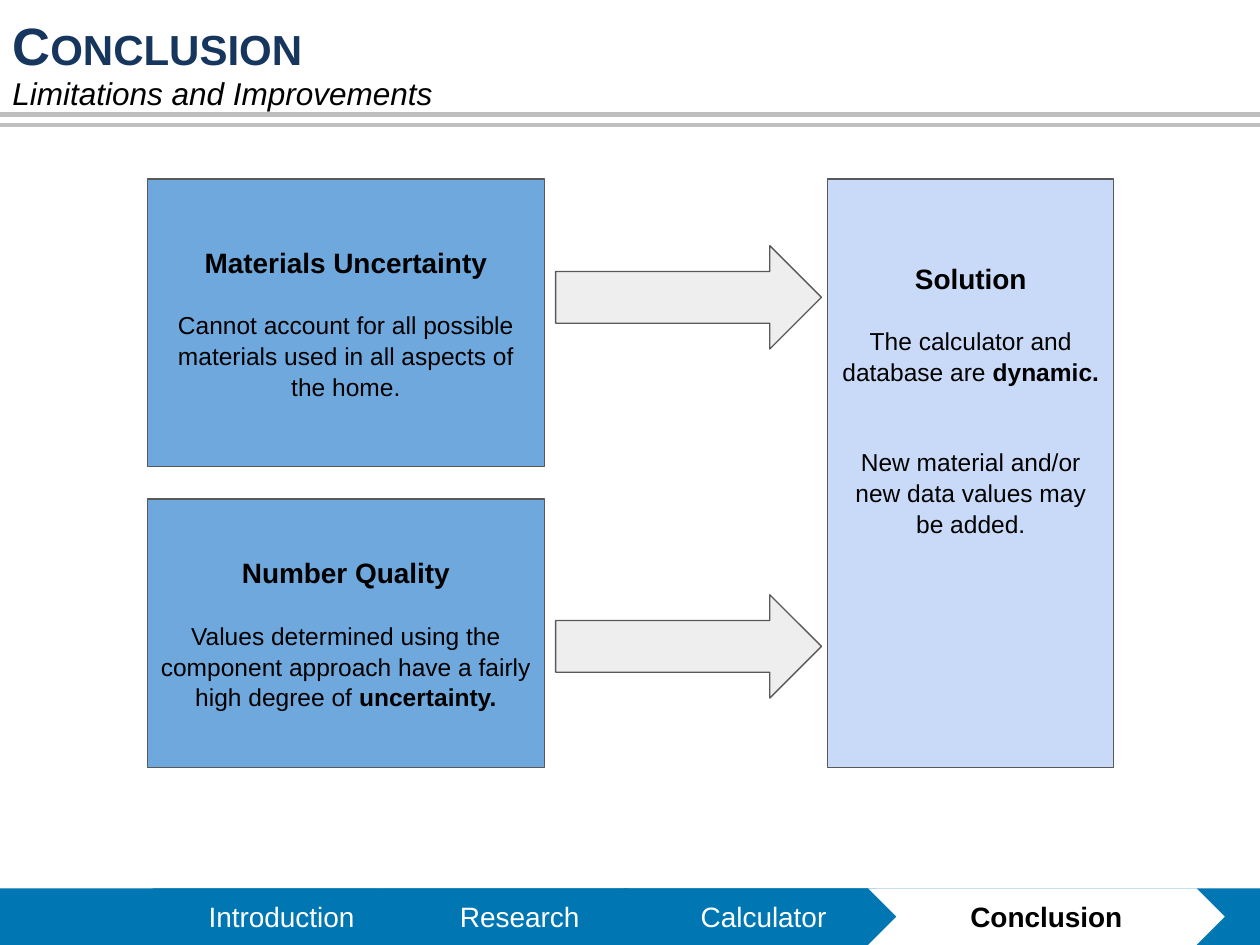
from dataclasses import dataclass

from lxml import etree
from pptx import Presentation
from pptx.dml.color import RGBColor
from pptx.enum import shapes, text
from pptx.oxml import ns
from pptx.util import Inches, Pt


@dataclass(frozen=True)
class Theme:
    font: str = "Arial"
    navy: str = "17365D"
    black: str = "000000"
    white: str = "FFFFFF"
    nav: str = "0077B3"
    rule: str = "BFBFBF"
    outline: str = "595959"
    problem: str = "6FA8DC"
    solution: str = "C9DAF8"
    arrow: str = "EEEEEE"
    title_size: int = 30
    subtitle_size: int = 18
    heading_size: int = 16
    body_size: int = 14
    blank_line: int = 17


THEME = Theme()
SHAPE = shapes.MSO_SHAPE
CENTER = text.PP_ALIGN.CENTER
LEFT = text.PP_ALIGN.LEFT


def rgb(value):
    return RGBColor.from_string(value)


def add_run(paragraph, words, size=THEME.body_size, color=THEME.black,
            bold=False, italic=False, small_caps=False):
    run = paragraph.add_run()
    run.text = words
    font = run.font
    font.name, font.size = THEME.font, Pt(size)
    font.bold, font.italic = bold, italic
    font.color.rgb = rgb(color)
    if small_caps:
        run._r.get_or_add_rPr().set("cap", "small")


def set_frame(shape, anchor=text.MSO_ANCHOR.MIDDLE, inset_top=0.1,
              inset_bottom=0.1):
    frame = shape.text_frame
    frame.word_wrap = True
    frame.vertical_anchor = anchor
    frame.margin_left = frame.margin_right = Inches(0.1)
    frame.margin_top = Inches(inset_top)
    frame.margin_bottom = Inches(inset_bottom)
    return frame


def add_box(slide, kind, left, top, width, height, fill, outline=None):
    shape = slide.shapes.add_shape(
        kind, Inches(left), Inches(top), Inches(width), Inches(height))
    shape.shadow.inherit = False
    shape.fill.solid()
    shape.fill.fore_color.rgb = rgb(fill)
    if outline:
        shape.line.color.rgb = rgb(outline)
        shape.line.width = Pt(0.75)
    else:
        shape.line.fill.background()
    return shape


def add_label(slide, left, top, width, height, words, **style):
    label = slide.shapes.add_textbox(
        Inches(left), Inches(top), Inches(width), Inches(height))
    paragraph = set_frame(label, text.MSO_ANCHOR.TOP).paragraphs[0]
    paragraph.alignment = LEFT
    add_run(paragraph, words, **style)


def add_rule(slide, y):
    rule = slide.shapes.add_connector(
        shapes.MSO_CONNECTOR.STRAIGHT, 0, Inches(y), Inches(10), Inches(y))
    rule.line.color.rgb = rgb(THEME.rule)
    rule.line.width = Pt(2.5)
    etree.SubElement(rule._element.spPr, ns.qn("a:effectLst"))


def add_navigation(slide):
    top, height = 7.05, 0.45
    add_box(slide, SHAPE.RECTANGLE, 0, top, 10, height, THEME.nav)
    steps = [("Introduction", 1.21, 2.05), ("Research", 3.04, 2.17),
             ("Calculator", 4.95, 2.22), ("Conclusion", 6.89, 2.83)]
    for name, left, width in steps:
        current = name == "Conclusion"
        step = add_box(slide, SHAPE.CHEVRON, left, top, width, height,
                       THEME.white if current else THEME.nav)
        frame = set_frame(step, inset_top=0.05, inset_bottom=0.05)
        paragraph = frame.paragraphs[0]
        paragraph.alignment = CENTER
        add_run(paragraph, name, size=THEME.heading_size, bold=current,
                color=THEME.black if current else THEME.white)


def add_card(slide, left, top, width, height, fill, heading, body, **frame_format):
    """Body is a list of (plain words, bold words, blank lines before)."""
    card = add_box(slide, SHAPE.RECTANGLE, left, top, width, height, fill,
                   THEME.outline)
    frame = set_frame(card, **frame_format)
    title = frame.paragraphs[0]
    add_run(title, heading, size=THEME.heading_size, bold=True)
    for plain, strong, gap in body:
        paragraph = frame.add_paragraph()
        paragraph.space_before = Pt(gap * THEME.blank_line)
        add_run(paragraph, plain)
        if strong:
            add_run(paragraph, strong, bold=True)
    for paragraph in frame.paragraphs:
        paragraph.alignment = CENTER
        paragraph.line_spacing = 1.05


def main():
    deck = Presentation()
    deck.slide_width, deck.slide_height = Inches(10), Inches(7.5)
    slide = deck.slides.add_slide(deck.slide_layouts[6])

    add_navigation(slide)
    for y in (0.91, 0.99):
        add_rule(slide, y)
    add_label(slide, 0, 0, 9.32, 0.83, "Conclusion", size=THEME.title_size,
              color=THEME.navy, bold=True, small_caps=True)

    add_card(slide, 6.57, 1.42, 2.27, 4.67, THEME.solution, "Solution",
             [("The calculator and database are ", "dynamic.", 1),
              ("New material and/or new data values may be added.", "", 2)],
             anchor=text.MSO_ANCHOR.TOP, inset_top=0.64)
    for top in (1.95, 4.72):
        add_box(slide, SHAPE.RIGHT_ARROW, 4.41, top, 2.11, 0.82, THEME.arrow,
                THEME.outline)
    add_card(slide, 1.17, 1.42, 3.15, 2.28, THEME.problem,
             "Materials Uncertainty",
             [("Cannot account for all possible materials used in all "
               "aspects of the home.", "", 1)])
    add_card(slide, 1.17, 3.96, 3.15, 2.13, THEME.problem, "Number Quality",
             [("Values determined using the component approach have a "
               "fairly high degree of ", "uncertainty.", 1)])

    add_label(slide, 0, 0.49, 7.3, 0.27, "Limitations and Improvements",
              size=THEME.subtitle_size, italic=True)
    deck.save("out.pptx")


if __name__ == "__main__":
    main()
